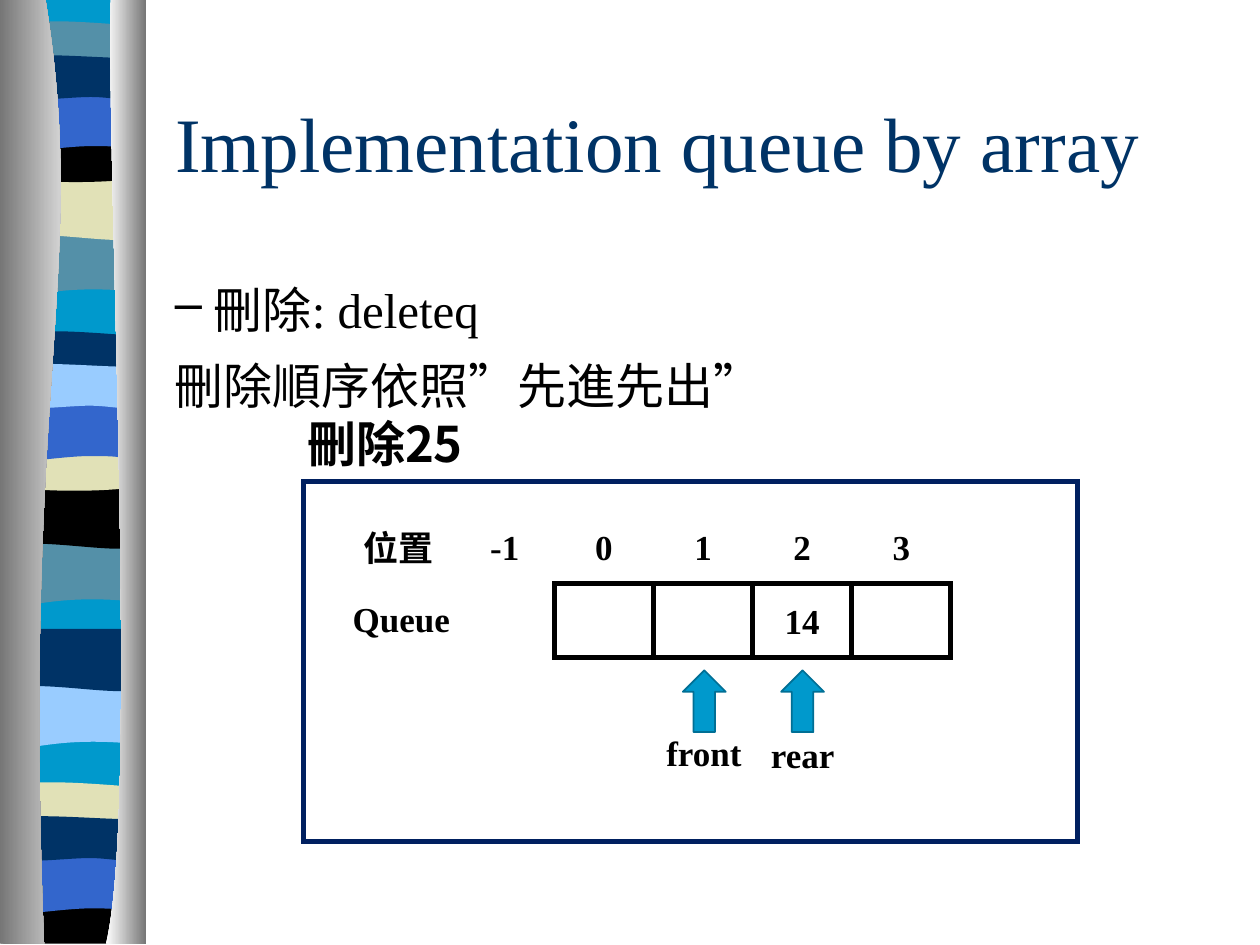
from lxml.etree import SubElement
from pptx import Presentation
from pptx.dml.color import RGBColor
from pptx.enum.shapes import MSO_SHAPE
from pptx.enum.text import MSO_ANCHOR, MSO_AUTO_SIZE, PP_ALIGN
from pptx.oxml.ns import qn
from pptx.util import Inches, Pt

COLORS = {
    "sky": "0099CC", "teal": "5490A8", "navy": "003366", "blue": "3366CC",
    "black": "000000", "sand": "E1E1B7", "pale": "99CCFF",
    "frame": "002060", "arrow_line": "006F95", "grey": "767676", "white": "FFFFFF",
}
SERIF, CJK = "Times New Roman", "Noto Sans CJK SC"

deck = Presentation()
deck.slide_width, deck.slide_height = Inches(10), Inches(7.5)
slide = deck.slides.add_slide(deck.slide_layouts[5])
shapes = slide.shapes


def add_outline(start, segments, left=0, top=0):
    """Closed outline in inches: one point is a line, three are a Bezier curve."""
    points = [start] + [point for segment in segments for point in segment]
    corners = [(Inches(left + x), Inches(top + y)) for x, y in points]
    builder = shapes.build_freeform(*corners[0])
    builder.add_line_segments(corners[1:], close=True)
    outline = builder.convert_to_shape()
    lines = iter(list(outline._element.iter(qn("a:lnTo"))))
    for segment in segments:
        first, *others = [next(lines) for _ in segment]
        if others:
            first.tag = qn("a:cubicBezTo")
            for line in others:
                first.append(line[0])
                line.getparent().remove(line)
    outline.shadow.inherit = False
    outline.line.fill.background()
    return outline


def write_label(box, text, size=20, font=SERIF, centered=False):
    """Bold label; centred ones fill a cell, others fit their text."""
    frame = box.text_frame
    frame.word_wrap = centered
    if centered:
        frame.vertical_anchor = MSO_ANCHOR.MIDDLE
    else:
        frame.auto_size = MSO_AUTO_SIZE.SHAPE_TO_FIT_TEXT
    para = frame.paragraphs[0]
    para.text = text
    para.alignment = PP_ALIGN.CENTER if centered else PP_ALIGN.LEFT
    para.font.name, para.font.size, para.font.bold = font, Pt(size), True
    para.font.color.rgb = RGBColor.from_string(COLORS["black"])


# Wave outlines of the ribbon, each relative to its top left corner
arch = [(0.66, 0.05), (0.85, 0), (1.08, 0)]
waves = {
    "sheet": ((1.08, 0), [[(1.08, 7.48)], [(0, 7.48)], [(0, 0)]]),
    "swing": ((1.08, 0), [[(1.08, 0.47)], [(0.33, 0.39), (0.18, 0.55), (0, 0.47)], [(0, 0)]]),
    "sag": ((1.08, 0), [[(1.08, 0.47)], [(0.9, 0.55), (0.33, 0.41), (0, 0.47)], [(0, 0)]]),
    "bulge": ((1.08, 0.05), [
        [(1.08, 0.29)], [(0.9, 0.33), (0.18, 0.33), (0, 0.29)], [(0, 0.05)],
        [(0.06, 0), (0.23, 0.01), (0.41, 0.01)], [(0.59, 0.01), (0.94, 0.04), (1.08, 0.05)]]),
    "bowl": ((1.08, 0), [
        [(1.08, 0.32)], [(0.9, 0.38), (0.18, 0.38), (0, 0.32)], [(0, 0)], arch]),
    "hill": ((1.08, 0), [
        [(1.08, 0.47)], [(0.91, 0.42), (0.84, 0.42), (0.66, 0.42)],
        [(0.48, 0.42), (0.16, 0.47), (0, 0.47)], [(0, 0)]]),
    "ripple": ((1.08, 0.05), [
        [(1.08, 0.36)], [(1.01, 0.41), (0.84, 0.36), (0.66, 0.36)],
        [(0.48, 0.36), (0.11, 0.41), (0, 0.36)], [(0, 0.05)],
        [(0.15, 0), (0.73, 0.05), (0.91, 0.05)], [(1.09, 0.05), (1.04, 0.05), (1.08, 0.05)]]),
    "base": ((1.08, 0), [[(1.08, 0.37)], [(0, 0.37)], [(0, 0)], arch]),
}

# Ribbon bands from back to front
bands = [
    ("sheet", 0.06, -0.01, "sky"), ("swing", 0.06, 1.85, "teal"),
    ("sag", 0.06, 1.41, "sand"), ("bulge", 0.06, 0.16, "teal"),
    ("bowl", 0.06, 1.08, "black"), ("hill", 0.06, 0.74, "blue"),
    ("ripple", 0.06, 0.41, "navy"), ("swing", 0.05, 4.31, "teal"),
    ("sag", 0.05, 3.86, "black"), ("bulge", 0.05, 2.62, "navy"),
    ("bowl", 0.05, 3.53, "sand"), ("hill", 0.05, 3.2, "blue"),
    ("ripple", 0.05, 2.86, "pale"), ("swing", 0.06, 5.44, "pale"),
    ("sag", 0.06, 4.99, "navy"), ("bulge", 0.05, 6.2, "sand"),
    ("base", 0.05, 7.12, "black"), ("hill", 0.05, 6.79, "blue"),
    ("ripple", 0.05, 6.45, "navy"),
]
for wave, left, top, color in bands:
    band = add_outline(*waves[wave], left, top)
    band.fill.solid()
    band.fill.fore_color.rgb = RGBColor.from_string(COLORS[color])

# Silver sides: curved inner edge, shaded left to right
sides = [
    ((0.36, -0.01), [[(0.71, 2.16), (0.17, 2.96), (0.35, 7.49)], [(0, 7.49)], [(0, -0.01)]],
     ("grey", "white")),
    ((0.88, -0.01), [[(0.84, 1.25), (1.11, 6.46), (0.84, 7.49)], [(1.16, 7.49)], [(1.16, 0)]],
     ("white", "grey")),
]
for start, segments, shades in sides:
    side = add_outline(start, segments)
    side.fill.gradient()
    side.fill.gradient_angle = 0
    for stop, shade in zip(side.fill.gradient_stops, shades):
        stop.color.rgb = RGBColor.from_string(COLORS[shade])

# Title
title = shapes.title
title.left, title.top = Inches(1.29), Inches(0.5)
title.width, title.height = Inches(8.5), Inches(1.25)
title.text_frame.vertical_anchor = MSO_ANCHOR.MIDDLE
para = title.text_frame.paragraphs[0]
para.text = "Implementation queue by array"
para.alignment = PP_ALIGN.LEFT
para.font.name, para.font.size = SERIF, Pt(44)
para.font.color.rgb = RGBColor.from_string(COLORS["navy"])

# Body text
body = shapes.add_textbox(Inches(1.29), Inches(2.17), Inches(8.5), Inches(4.5))
body.text_frame.word_wrap = True
for index, text in enumerate(["刪除: deleteq", "刪除順序依照”先進先出”"]):
    para = body.text_frame.paragraphs[0] if index == 0 else body.text_frame.add_paragraph()
    para.text = text
    if index == 0:
        properties = para._p.get_or_add_pPr()
        properties.set("marL", str(Inches(0.31)))
        properties.set("indent", str(-Inches(0.31)))
        SubElement(properties, qn("a:buChar"), char="–")
    else:
        para.space_before = Pt(10)
    para.font.name, para.font.size = SERIF, Pt(28)
    para.font.color.rgb = RGBColor.from_string(COLORS["black"])

# Frame around the queue
frame_box = shapes.add_shape(MSO_SHAPE.RECTANGLE, Inches(2.41), Inches(3.82),
                             Inches(6.14), Inches(2.86))
outlined = [(frame_box, "frame")]

# Queue cells with their positions
cell_width, cell_height = 2.36 / 3, 0.59
for position in range(-1, 4):
    left = 4.4 + position * cell_width
    heading = shapes.add_textbox(Inches(left), Inches(4.04),
                                 Inches(cell_width), Inches(cell_height))
    write_label(heading, str(position), centered=True)
    if position >= 0:
        cell = shapes.add_shape(MSO_SHAPE.RECTANGLE, Inches(left), Inches(4.63),
                                Inches(cell_width), Inches(cell_height))
        outlined.append((cell, "black"))
    if position == 2:
        write_label(cell, "14", centered=True)
for box, color in outlined:
    box.shadow.inherit = False
    box.fill.background()
    box.line.color.rgb = RGBColor.from_string(COLORS[color])
    box.line.width = Pt(3)
    SubElement(box.line._get_or_add_ln(), qn("a:miter"), lim="800000")

# Front and rear pointers
for left in (5.42, 6.2):
    arrow = shapes.add_shape(MSO_SHAPE.UP_ARROW, Inches(left), Inches(5.32),
                             Inches(0.34), Inches(0.49))
    arrow.shadow.inherit = False
    arrow.fill.solid()
    arrow.fill.fore_color.rgb = RGBColor.from_string(COLORS["sky"])
    arrow.line.color.rgb = RGBColor.from_string(COLORS["arrow_line"])
    arrow.line.width = Pt(1)

# Free labels
for text, left, top, width, height, size, font in [
        ("刪除25", 2.34, 3.23, 1.54, 0.57, 28, CJK),
        ("位置", 2.79, 4.13, 0.77, 0.44, 20, CJK),
        ("Queue", 2.7, 4.69, 0.97, 0.44, 20, SERIF),
        ("front", 5.19, 5.76, 0.8, 0.44, 20, SERIF),
        ("rear", 6.02, 5.77, 0.71, 0.44, 20, SERIF)]:
    label = shapes.add_textbox(Inches(left), Inches(top), Inches(width), Inches(height))
    write_label(label, text, size, font)

deck.save("out.pptx")
